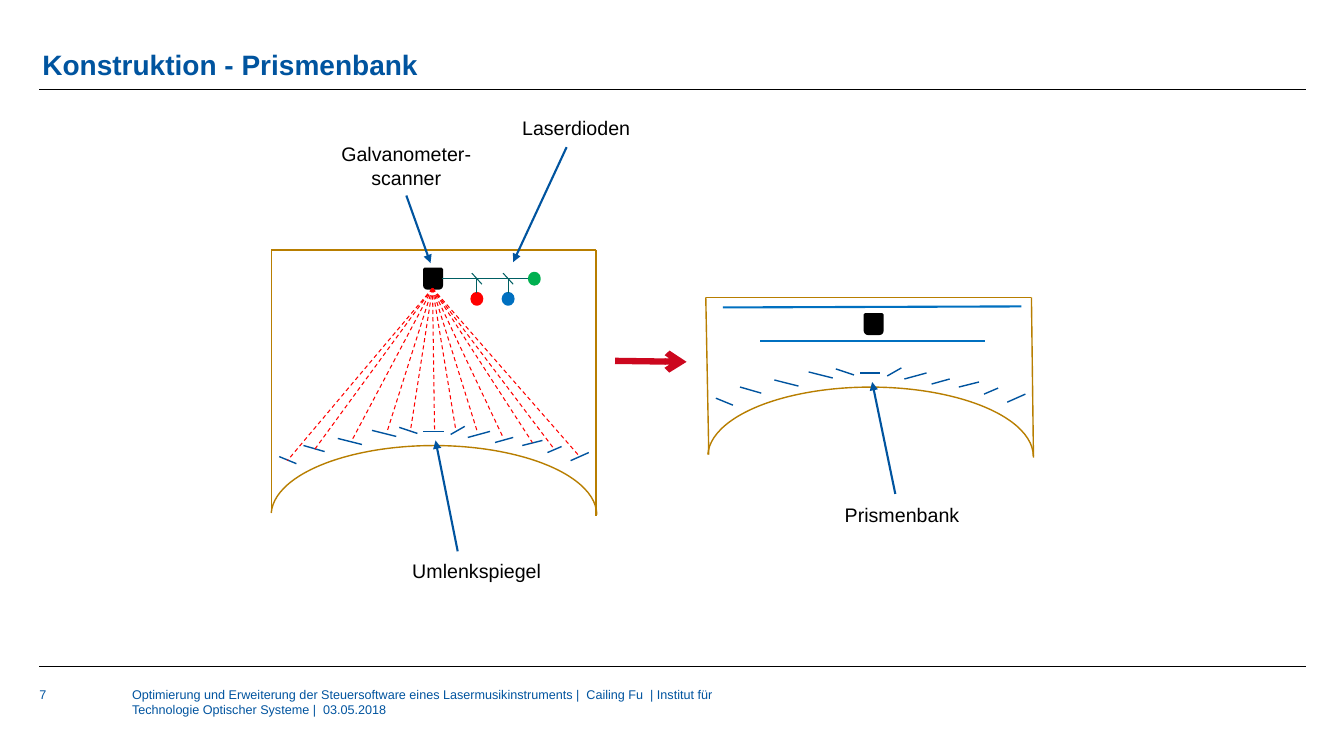
from dataclasses import dataclass
from lxml import etree
from pptx import Presentation
from pptx import util as u
from pptx.dml.color import RGBColor
from pptx.enum import dml, shapes, text
from pptx.oxml import ns


@dataclass(frozen=True)
class Theme:
    font: str = "Arial"
    blue: str = "00549F"
    sky: str = "0070C0"
    teal: str = "005F63"
    gold: str = "B87E00"
    red: str = "FF0000"
    green: str = "00B050"
    crimson: str = "CC071E"
    black: str = "000000"
    title: float = 20
    label: float = 14
    small: float = 9
    hair: float = 0.75
    thin: float = 1
    mid: float = 1.5
    edge: float = 2
    bold: float = 4.5


T = Theme()
GEO = shapes.MSO_SHAPE

MIRRORS = [
    (0.08, 0.11, 0.25, 0.18), (0.32, 0, 0.53, 0.06),
    (0.66, -0.07, 0.9, -0.01), (1, -0.15, 1.24, -0.09),
    (1.27, -0.18, 1.45, -0.12), (1.51, -0.14, 1.71, -0.14),
    (1.78, -0.11, 1.92, -0.19), (1.95, -0.08, 2.17, -0.14),
    (2.22, -0.03, 2.4, -0.08), (2.49, 0, 2.69, -0.05),
    (2.74, 0.07, 2.88, 0.01), (2.97, 0.15, 3.15, 0.07),
]
RAYS = [
    (0.16, 2.09), (0.43, 1.98), (0.8, 1.89), (1.15, 1.8),
    (1.38, 1.8), (1.62, 1.78), (1.83, 1.78), (2.04, 1.79),
    (2.3, 1.86), (2.59, 1.91), (3.06, 2.05), (2.81, 1.98),
]


def paint(color):
    return RGBColor.from_string(color)


def line(slide, box, ends, color, width, head=None, dash=False):
    x, y = box[:2]
    x1, y1, x2, y2 = ends
    item = slide.shapes.add_connector(
        shapes.MSO_CONNECTOR.STRAIGHT,
        u.Inches(x + x1), u.Inches(y + y1), u.Inches(x + x2), u.Inches(y + y2))
    item.line.color.rgb = paint(color)
    item.line.width = u.Pt(width)
    if dash:
        item.line.dash_style = dml.MSO_LINE.DASH
    if head:
        tip = etree.SubElement(item.line._get_or_add_ln(), ns.qn("a:tailEnd"))
        tip.set("type", head)
    etree.SubElement(item._element.spPr, ns.qn("a:effectLst"))


def shape(slide, box, kind, place, color, width, fill=True):
    x, y = box[:2]
    left, top, wide, high = place
    item = slide.shapes.add_shape(
        kind, u.Inches(x + left), u.Inches(y + top), u.Inches(wide), u.Inches(high))
    item.shadow.inherit = False
    item.line.color.rgb = paint(color)
    item.line.width = u.Pt(width)
    if fill:
        item.fill.solid()
        item.fill.fore_color.rgb = paint(color)
    else:
        item.fill.background()
    return item


def write(slide, box, rows, size, color, wrap=False, bold=False):
    item = slide.shapes.add_textbox(*map(u.Inches, box))
    frame = item.text_frame
    frame.word_wrap = wrap
    if wrap:
        frame.margin_left = frame.margin_right = 0
        frame.margin_top = frame.margin_bottom = 0
    for i, row in enumerate(rows):
        para = frame.paragraphs[0] if i == 0 else frame.add_paragraph()
        if len(rows) > 1:
            para.alignment = text.PP_ALIGN.CENTER
        run = para.add_run()
        run.text = row
        run.font.name = T.font
        run.font.size = u.Pt(size)
        run.font.bold = bold
        run.font.color.rgb = paint(color)
    return frame


def header(slide, box):
    x, y, w, h = box
    frame = write(slide, (x + 0.03, y, w, 0.59), ["Konstruktion - Prismenbank"],
                  T.title, T.blue, wrap=True, bold=True)
    frame.vertical_anchor = text.MSO_ANCHOR.BOTTOM
    frame.paragraphs[0].line_spacing = 0.9
    line(slide, box, (0, h, w, h), T.black, T.hair)


def footer(slide, box):
    x, y, w, h = box
    line(slide, box, (0, 0, w, 0), T.black, T.hair)
    write(slide, (x, y + 0.2, 0.8, 0.43), ["7"], T.small, T.blue, wrap=True)
    note = ("Optimierung und Erweiterung der Steuersoftware eines "
            "Lasermusikinstruments |  Cailing Fu  | Institut für "
            "Technologie Optischer Systeme |  03.05.2018")
    write(slide, (x + 0.92, y + 0.2, 6.15, h - 0.2), [note],
          T.small, T.blue, wrap=True)


def bench(slide, box):
    curve = shape(slide, box, GEO.ARC, (0, 0, *box[2:]), T.gold, T.thin, fill=False)
    curve.adjustments[0] = 108.447
    curve.adjustments[1] = 215.921
    for ends in MIRRORS:
        line(slide, box, ends, T.blue, T.thin)


def scanner(slide, box):
    block = shape(slide, box, GEO.ROUND_2_SAME_RECTANGLE, (0, 0, *box[2:]),
                  T.black, T.edge)
    block.rotation = 180


def lasers(slide, box):
    h = box[3]
    line(slide, box, (0.87, 0.09, 0, 0.09), T.teal, T.hair)
    for left, top, color in [(0.3, 0.24, T.red), (0.61, 0.24, T.sky),
                             (0.87, 0.04, T.green)]:
        shape(slide, box, GEO.OVAL, (left, top, 0.1, 0.11), color, T.edge)
    for left in (0.3, 0.61):
        line(slide, box, (left, 0.04, left + 0.1, 0.15), T.teal, T.hair)
        line(slide, box, (left + 0.05, h - 0.11, left + 0.05, 0.09), T.teal, T.hair)


def before(slide, box):
    x, y, w, h = box
    for ends in [(0, 0, w, 0), (w, 0, w, h), (0, 0, 0, h - 0.03)]:
        line(slide, box, ends, T.gold, T.thin)
    scanner(slide, (x + 1.52, y + 0.19, 0.17, 0.19))
    lasers(slide, (x + 1.69, y + 0.19, 0.97, 0.35))
    bench(slide, (x, y + 1.94, 3.23, 1.38))
    for end in RAYS:
        line(slide, box, (1.6, 0.38, *end), T.red, T.hair, dash=True)
    for ends in [(1.34, -0.54, 1.58, 0.13), (2.93, -1.02, 2.4, 0.12),
                 (1.85, 2.99, 1.63, 1.89)]:
        line(slide, box, ends, T.blue, T.mid, "triangle")
    for place, rows in [
        ((1.3, 3.02, 1.49, 0.34), ["Umlenkspiegel"]),
        ((0.59, -1.12, 1.5, 0.57), ["Galvanometer-", "scanner"]),
        ((2.39, -1.38, 1.28, 0.34), ["Laserdioden"]),
    ]:
        left, top, wide, high = place
        write(slide, (x + left, y + top, wide, high), rows, T.label, T.black)


def after(slide, box):
    x, y, w, h = box
    for ends in [(0, 0, w, 0), (w, 0, w + 0.02, h), (0, 0, 0.03, h - 0.03)]:
        line(slide, box, ends, T.gold, T.thin)
    scanner(slide, (x + 1.58, y + 0.17, 0.17, 0.19))
    for ends in [(0.17, 0.1, 3.13, 0.09), (0.54, 0.43, 2.77, 0.43)]:
        line(slide, box, ends, T.sky, T.mid)
    bench(slide, (x + 0.02, y + 0.89, 3.23, 1.38))
    line(slide, box, (1.88, 1.95, 1.65, 0.84), T.blue, T.mid, "triangle")
    write(slide, (x + 1.28, y + 1.99, 1.34, 0.34), ["Prismenbank"],
          T.label, T.black)


def main():
    deck = Presentation()
    deck.slide_width = u.Inches(13.33)
    deck.slide_height = u.Inches(7.5)
    slide = deck.slides.add_slide(deck.slide_layouts[6])
    header(slide, (0.39, 0.22, 12.56, 0.67))
    footer(slide, (0.39, 6.61, 12.56, 0.89))
    before(slide, (2.69, 2.48, 3.22, 2.64))
    after(slide, (7, 2.95, 3.23, 1.59))
    line(slide, (6.1, 3.58), (0, 0, 0.71, 0.01), T.crimson, T.bold, "arrow")
    deck.save("out.pptx")


if __name__ == "__main__":
    main()
